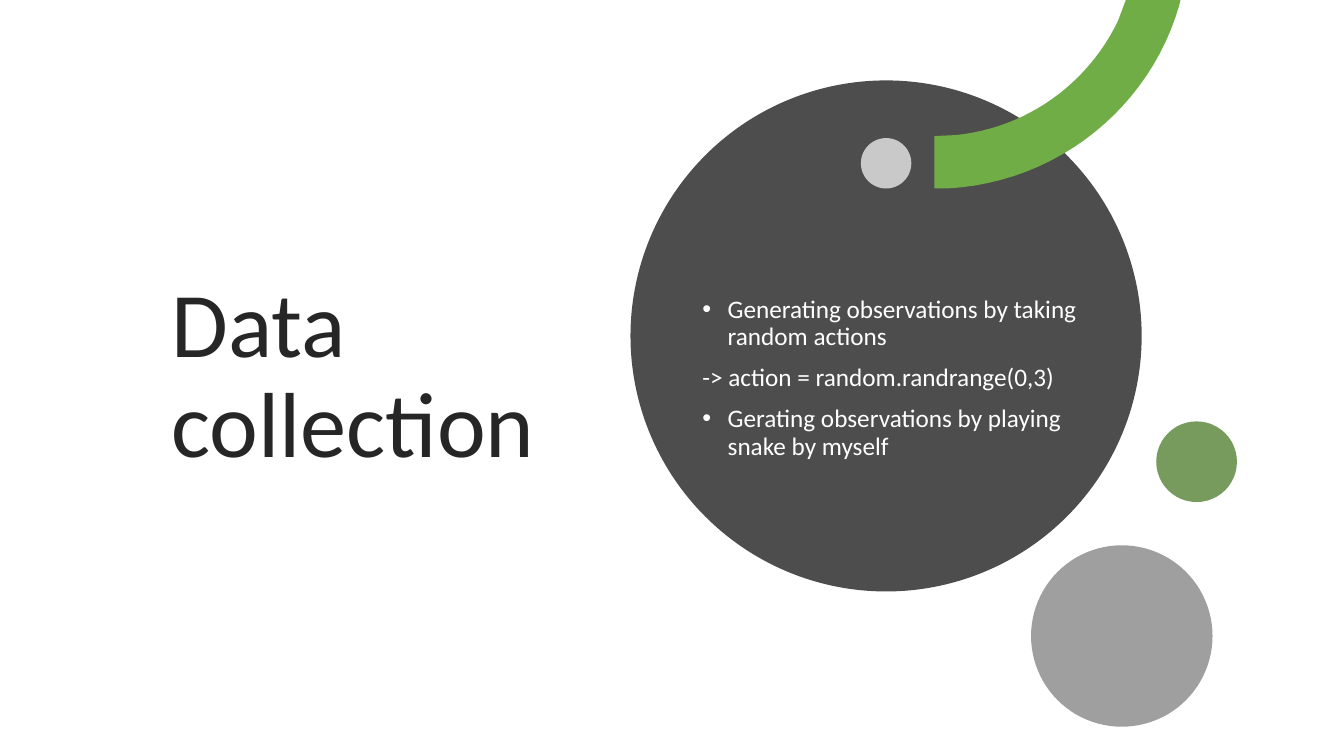
from lxml import etree
from pptx import Presentation
from pptx import util as u
from pptx.dml.color import RGBColor
from pptx.enum import shapes, text
from pptx.oxml.ns import qn

WIDE, HIGH = u.Inches(13.33), u.Inches(7.5)
FONT = "Calibri"


def across(share):
    return round(WIDE * share / 100)


def down(share):
    return round(HIGH * share / 100)


def hue(code):
    return RGBColor.from_string(code)


def paint(shape, code, solid=100):
    shape.shadow.inherit = False
    shape.line.fill.background()
    shape.fill.solid()
    shape.fill.fore_color.rgb = hue(code)
    if solid < 100:
        tint = shape.fill._xPr.find(".//" + qn("a:srgbClr"))
        etree.SubElement(tint, qn("a:alpha")).set("val", str(solid * 1000))


def disc(slide, mid_x, mid_y, size, code, solid=100):
    side = down(size)
    left, top = across(mid_x) - side // 2, down(mid_y) - side // 2
    shape = slide.shapes.add_shape(
        shapes.MSO_SHAPE.OVAL, left, top, side, side)
    paint(shape, code, solid)


def curve(ends, steps=24):
    for i in range(1, steps + 1):
        t = i / steps
        parts = ((1 - t) ** 3, 3 * t * (1 - t) ** 2, 3 * t * t * (1 - t), t ** 3)
        yield tuple(sum(w * p[k] for w, p in zip(parts, ends)) for k in (0, 1))


def arc(slide, code):
    outer = [(87.75, 0.67), (85.58, 14.13), (78.75, 24.13), (70.5, 24.93)]
    inner = [(71.1, 17.87), (76.43, 16.93), (80.93, 11.07), (83.18, 2.8)]
    points = [(87.83, 0), outer[0], *curve(outer), (69.53, 24.93),
              (69.53, 18), inner[0], *curve(inner)]
    pen = slide.shapes.build_freeform(across(83.77), 0)
    pen.add_line_segments([(across(x), down(y)) for x, y in points])
    paint(pen.convert_to_shape(), code)


def place(shape, left, top, width, height):
    shape.left, shape.top = across(left), down(top)
    shape.width, shape.height = across(width), down(height)


def style(frame, size, code, before=0):
    frame.word_wrap = True
    frame.auto_size = text.MSO_AUTO_SIZE.NONE
    frame.vertical_anchor = text.MSO_ANCHOR.MIDDLE
    for para in frame.paragraphs:
        para.alignment = text.PP_ALIGN.LEFT
        para.line_spacing = 0.9
        para.space_before = u.Pt(before)
        for run in para.runs:
            run.font.name = FONT
            run.font.size = u.Pt(size)
            run.font.color.rgb = hue(code)


def bullet(para):
    props = para._p.get_or_add_pPr()
    props.set("marL", str(u.Inches(0.25)))
    props.set("indent", str(-u.Inches(0.25)))
    etree.SubElement(props, qn("a:buFont")).set("typeface", "Arial")
    etree.SubElement(props, qn("a:buChar")).set("char", "•")


def head(slide, words):
    title = slide.shapes.title
    place(title, 12, 15.87, 31.2, 68.13)
    title.text_frame.text = words
    style(title.text_frame, 66, "262626")


def body(slide, items):
    box = slide.shapes.add_textbox(0, 0, 0, 0)
    place(box, 51.53, 25.73, 29.4, 48.67)
    frame = box.text_frame
    frame.text = "\n".join(words for words, _ in items)
    style(frame, 18, "FFFFFF", before=10)
    for para, (_, marked) in zip(frame.paragraphs, items):
        if marked:
            bullet(para)


def main():
    deck = Presentation()
    deck.slide_width, deck.slide_height = WIDE, HIGH
    slide = deck.slides.add_slide(deck.slide_layouts[5])
    head(slide, "Data collection")
    disc(slide, 65.93, 44.44, 67.6, "4D4D4D")
    disc(slide, 65.93, 21.6, 6.67, "FFFFFF", 70)
    arc(slide, "70AD47")
    disc(slide, 89.03, 61.07, 10.67, "548235", 80)
    disc(slide, 83.47, 84.13, 24, "404040", 50)
    body(slide, [
        ("Generating observations by taking random actions", True),
        ("-> action = random.randrange(0,3)", False),
        ("Gerating observations by playing snake by myself", True),
    ])
    deck.save("out.pptx")


if __name__ == "__main__":
    main()
